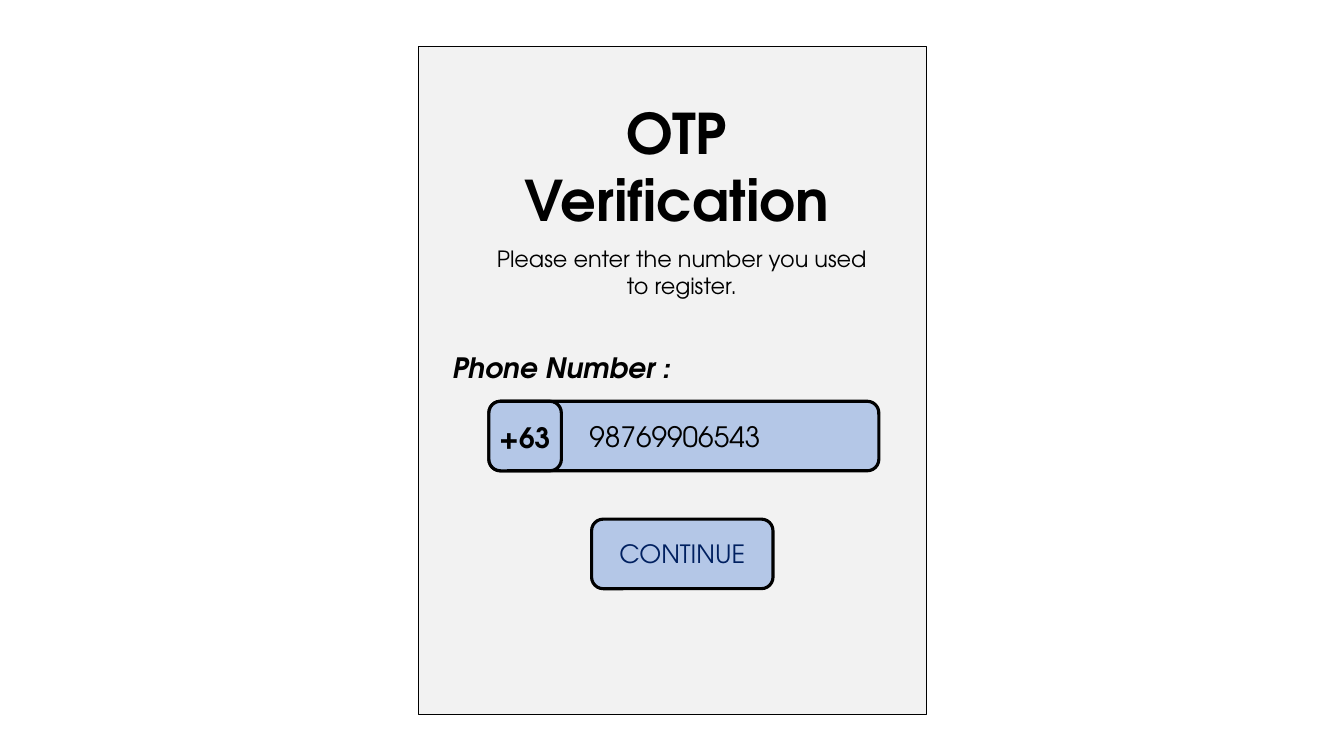
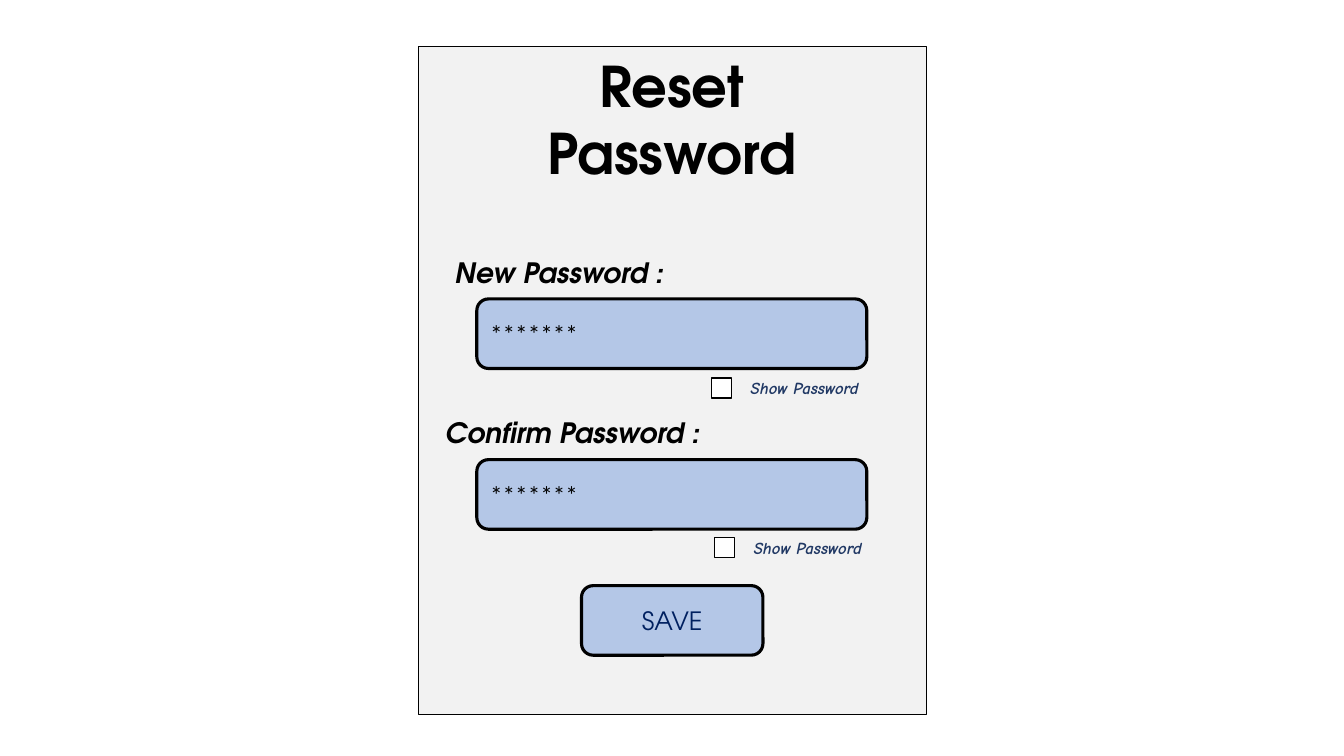
"""Build two phone screens: OTP verification and password reset."""
import pptx
import pptx.dml.color
import pptx.enum.shapes
import pptx.enum.text
import pptx.util

Pt = pptx.util.Pt
RGBColor = pptx.dml.color.RGBColor
MSO_SHAPE = pptx.enum.shapes.MSO_SHAPE
PP_ALIGN = pptx.enum.text.PP_ALIGN
MSO_ANCHOR = pptx.enum.text.MSO_ANCHOR

BLACK = RGBColor(0x00, 0x00, 0x00)
WHITE = RGBColor(0xFF, 0xFF, 0xFF)
PANEL_GREY = RGBColor(0xF2, 0xF2, 0xF2)
FIELD_BLUE = RGBColor(0xB4, 0xC7, 0xE7)
BUTTON_NAVY = RGBColor(0x00, 0x20, 0x60)
HINT_NAVY = RGBColor(0x20, 0x38, 0x64)

SANS = "TeX Gyre Adventor"
TITLE = {"name": SANS, "size": Pt(40), "bold": True}
LABEL = {"name": SANS, "size": Pt(20), "bold": True, "italic": True}
CODE = {"name": SANS, "size": Pt(20), "bold": True}
NUMBER = {"name": SANS, "size": Pt(20)}
BODY = {"name": SANS, "size": Pt(16)}
BUTTON = {"name": SANS, "size": Pt(18)}
MASKED = {"name": "Calibri", "size": Pt(18)}
HINT = {"name": "Comic Neue", "size": Pt(12), "bold": True, "italic": True}

RECT, ROUND = MSO_SHAPE.RECTANGLE, MSO_SHAPE.ROUNDED_RECTANGLE
LEFT, CENTER = PP_ALIGN.LEFT, PP_ALIGN.CENTER
TITLE_SIZE = (296, 104.4)
LABEL_SIZE = (220.3, 31.5)
FIELD_SIZE = (278.6, 49.7)
BUTTON_SIZE = (129.6, 49.7)


def add_shape(s, kind, x, y, w, h, fill, weight):
    sp = s.shapes.add_shape(kind, Pt(x), Pt(y), Pt(w), Pt(h))
    sp.shadow.inherit = False
    sp.fill.solid()
    sp.fill.fore_color.rgb = fill
    sp.line.color.rgb = BLACK
    sp.line.width = Pt(weight)
    sp.text_frame.vertical_anchor = MSO_ANCHOR.MIDDLE
    return sp


def add_text(s, text, style, x=0, y=0, w=0, h=0, align=CENTER, color=BLACK, sp=None):
    tf = (sp or s.shapes.add_textbox(Pt(x), Pt(y), Pt(w), Pt(h))).text_frame
    tf.word_wrap = True
    for i, line in enumerate(text.split("\n")):
        p = tf.add_paragraph() if i else tf.paragraphs[0]
        p.alignment = align
        r = p.add_run()
        r.text = line
        r.font.color.rgb = color
        for key, value in style.items():
            setattr(r.font, key, value)


prs = pptx.Presentation()
prs.slide_width, prs.slide_height = Pt(960), Pt(540)

screens = [
    ("OTP Verification", 335.5, 67, "CONTINUE", 422.6, 370.8),
    ("Reset\nPassword", 331.9, 33.1, "SAVE", 415.4, 418.3),
]
for title, title_x, title_y, action, button_x, button_y in screens:
    s = prs.slides.add_slide(prs.slide_layouts[6])
    add_shape(s, RECT, 298.8, 33.1, 362.9, 477.4, PANEL_GREY, 1)
    add_text(s, title, TITLE, title_x, title_y, *TITLE_SIZE)
    sp = add_shape(s, ROUND, button_x, button_y, *BUTTON_SIZE, FIELD_BLUE, 2.25)
    add_text(s, action, BUTTON, color=BUTTON_NAVY, sp=sp)

otp, reset = prs.slides

add_text(otp, "Please enter the number you used to register.", BODY, 339.1, 171.4, 296, 46)
add_text(otp, "Phone Number :", LABEL, 290.9, 247, *LABEL_SIZE)
for width in (FIELD_SIZE[0], 51.8):
    add_shape(otp, ROUND, 349.2, 286.6, width, FIELD_SIZE[1], FIELD_BLUE, 2.25)
add_text(otp, "+63", CODE, 342.7, 296.6, 64.1, 31.5)
add_text(otp, "98769906543", NUMBER, 414, 295.9, 151.2, 31.5, LEFT)

password_rows = [
    ("New Password :", 289.4, 178.6, 213.5, 508.3, 270),
    ("Confirm Password :", 298.8, 293, 328.3, 510.5, 383.8),
]
for label, label_x, label_y, field_y, check_x, check_y in password_rows:
    add_text(reset, label, LABEL, label_x, label_y, *LABEL_SIZE)
    sp = add_shape(reset, ROUND, 340.6, field_y, *FIELD_SIZE, FIELD_BLUE, 2.25)
    add_text(reset, "*******", MASKED, align=LEFT, sp=sp)
    add_shape(reset, RECT, check_x, check_y, 14.4, 14.4, WHITE, 1)
    add_text(reset, "Show Password", HINT, check_x + 13.7, check_y - 3.6, 105.8, 21.6, color=HINT_NAVY)

prs.save("out.pptx")
